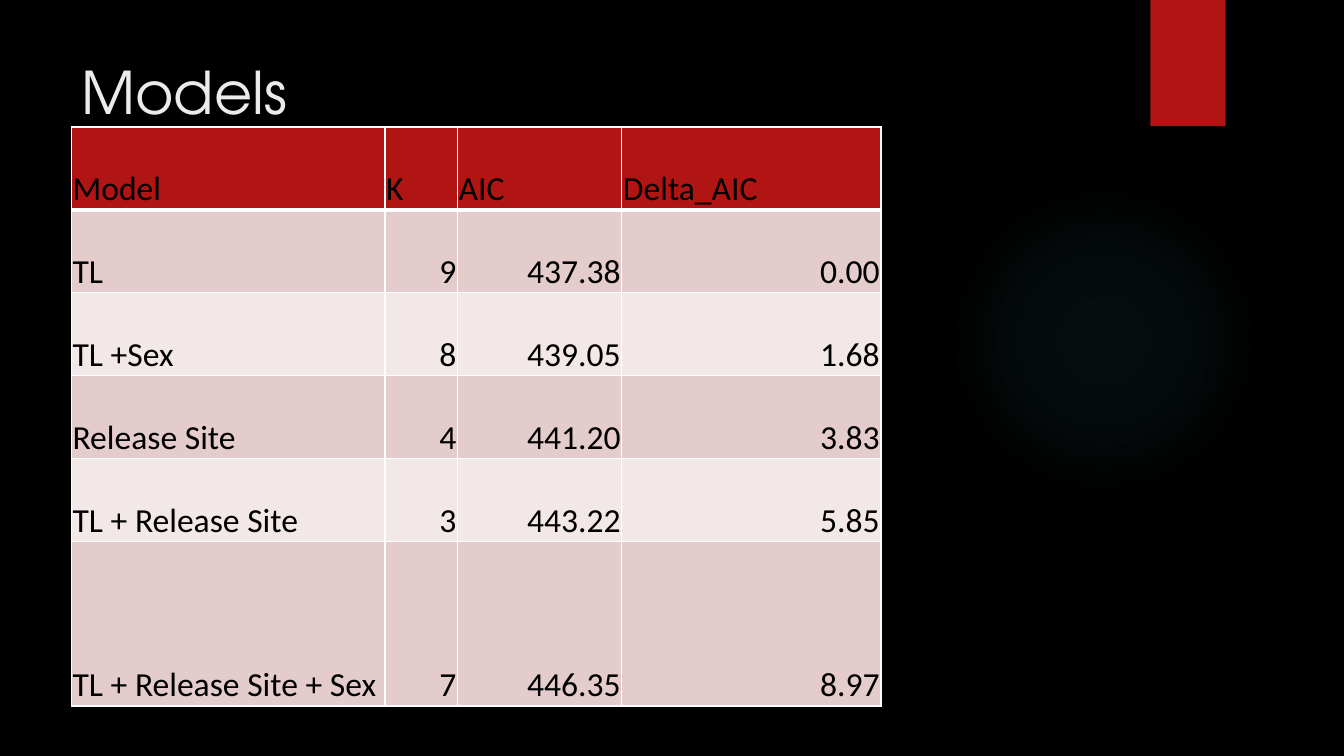
from lxml import etree
from pptx import Presentation
from pptx.dml.color import RGBColor
from pptx.enum.shapes import MSO_SHAPE
from pptx.enum.text import MSO_ANCHOR, PP_ALIGN
from pptx.oxml import parse_xml
from pptx.oxml.ns import nsdecls
from pptx.util import Cm, Pt

RECTANGLE, ELLIPSE = MSO_SHAPE.RECTANGLE, MSO_SHAPE.OVAL
TOP, BOTTOM = MSO_ANCHOR.TOP, MSO_ANCHOR.BOTTOM
LEFT, RIGHT = PP_ALIGN.LEFT, PP_ALIGN.RIGHT

COLORS = {
    "background": "000000",
    "accent": "B01513",
    "glow": "50B9C1",
    "title": "EBEBEB",
    "cell_text": "000000",
    "border": "FFFFFF",
    "odd_row": "E4CCCC",
    "even_row": "F2E8E7",
}

COLUMN_WIDTHS = [7.9, 1.83, 4.14, 6.53]
ROW_HEIGHTS = [2.09] * 5 + [4.14]
MODELS = [
    ("Model", "K", "AIC", "Delta_AIC"),
    ("TL", "9", "437.38", "0.00"),
    ("TL +Sex", "8", "439.05", "1.68"),
    ("Release Site", "4", "441.20", "3.83"),
    ("TL + Release Site", "3", "443.22", "5.85"),
    ("TL + Release Site + Sex", "7", "446.35", "8.97"),
]


def color(name):
    return RGBColor.from_string(COLORS[name])


class SlideBuilder:
    title_font = "TeX Gyre Adventor"
    table_font = "Calibri"

    def __init__(self, slide):
        self.slide = slide
        fill = slide.background.fill
        fill.solid()
        fill.fore_color.rgb = color("background")

    def shape(self, kind, left, top, width, height, fill_name):
        shape = self.slide.shapes.add_shape(
            kind, Cm(left), Cm(top), Cm(width), Cm(height))
        shape.shadow.inherit = False
        shape.fill.solid()
        shape.fill.fore_color.rgb = color(fill_name)
        shape.line.fill.background()
        return shape

    def glow(self, left, top, diameter, stops):
        """Circle that fades outwards; stops are (position, opacity) in percent."""
        shape = self.shape(ELLIPSE, left, top, diameter, diameter, "glow")
        stop_xml = "".join(
            f'<a:gs pos="{position * 1000}"><a:srgbClr val="{COLORS["glow"]}">'
            f'<a:alpha val="{opacity * 1000}"/></a:srgbClr></a:gs>'
            for position, opacity in stops)
        gradient = parse_xml(
            f'<a:gradFill {nsdecls("a")} rotWithShape="1"><a:gsLst>{stop_xml}</a:gsLst>'
            '<a:path path="circle"><a:fillToRect l="50000" t="50000" r="50000" b="50000"/>'
            '</a:path></a:gradFill>')
        properties = shape.fill._xPr
        properties.replace(properties.find("{*}solidFill"), gradient)

    def title(self, text, left, top, width, height):
        box = self.slide.shapes.add_textbox(Cm(left), Cm(top), Cm(width), Cm(height))
        frame = box.text_frame
        frame.word_wrap = True
        frame.vertical_anchor = TOP
        frame.text = text
        self.style(frame.paragraphs[0], self.title_font, 42, "title")

    def table(self, rows, left, top, widths, heights):
        table = self.slide.shapes.add_table(
            len(rows), len(widths), Cm(left), Cm(top),
            Cm(sum(widths)), Cm(sum(heights))).table
        table.horz_banding = False
        for column, width in zip(table.columns, widths):
            column.width = Cm(width)
        for row, height in zip(table.rows, heights):
            row.height = Cm(height)
        for i, values in enumerate(rows):
            fill_name = "accent" if i == 0 else "odd_row" if i % 2 else "even_row"
            for j, value in enumerate(values):
                alignment = RIGHT if i and j else LEFT
                self.cell(table.cell(i, j), value, fill_name, alignment)
                # Heavier rule between the header and the body
                self.borders(table.cell(i, j), top=3 if i == 1 else 1,
                             bottom=3 if i == 0 else 1)

    def cell(self, cell, text, fill_name, alignment):
        cell.fill.solid()
        cell.fill.fore_color.rgb = color(fill_name)
        cell.vertical_anchor = BOTTOM
        cell.margin_left = cell.margin_right = cell.margin_top = Cm(0.03)
        cell.margin_bottom = 0
        cell.text = text
        paragraph = cell.text_frame.paragraphs[0]
        paragraph.alignment = alignment
        self.style(paragraph, self.table_font, 24, "cell_text")

    def borders(self, cell, top, bottom):
        properties = cell._tc.get_or_add_tcPr()
        sides = {"lnL": 1, "lnR": 1, "lnT": top, "lnB": bottom}
        for index, (tag, points) in enumerate(sides.items()):
            line = parse_xml(f'<a:{tag} {nsdecls("a")} w="{Pt(points)}"/>')
            namespace = etree.QName(line).namespace
            fill = etree.SubElement(line, f"{{{namespace}}}solidFill")
            etree.SubElement(fill, f"{{{namespace}}}srgbClr", val=COLORS["border"])
            properties.insert(index, line)

    def style(self, paragraph, font_name, size, color_name):
        font = paragraph.font
        font.name = font_name
        font.size = Pt(size)
        font.bold = False
        font.color.rgb = color(color_name)


def main():
    presentation = Presentation()
    presentation.slide_width = Cm(33.87)
    presentation.slide_height = Cm(19.05)
    builder = SlideBuilder(presentation.slides.add_slide(presentation.slide_layouts[6]))

    # Backdrop
    builder.glow(23.9, 4.65, 7.82, [(0, 7), (36, 6), (69, 0)])
    builder.shape(RECTANGLE, 28.99, 0, 1.9, 3.18, "accent")

    # Title and model comparison
    builder.title("Models", 1.8, 1.27, 26.14, 3.89)
    builder.table(MODELS, 1.8, 3.2, COLUMN_WIDTHS, ROW_HEIGHTS)

    presentation.save("out.pptx")


if __name__ == "__main__":
    main()
